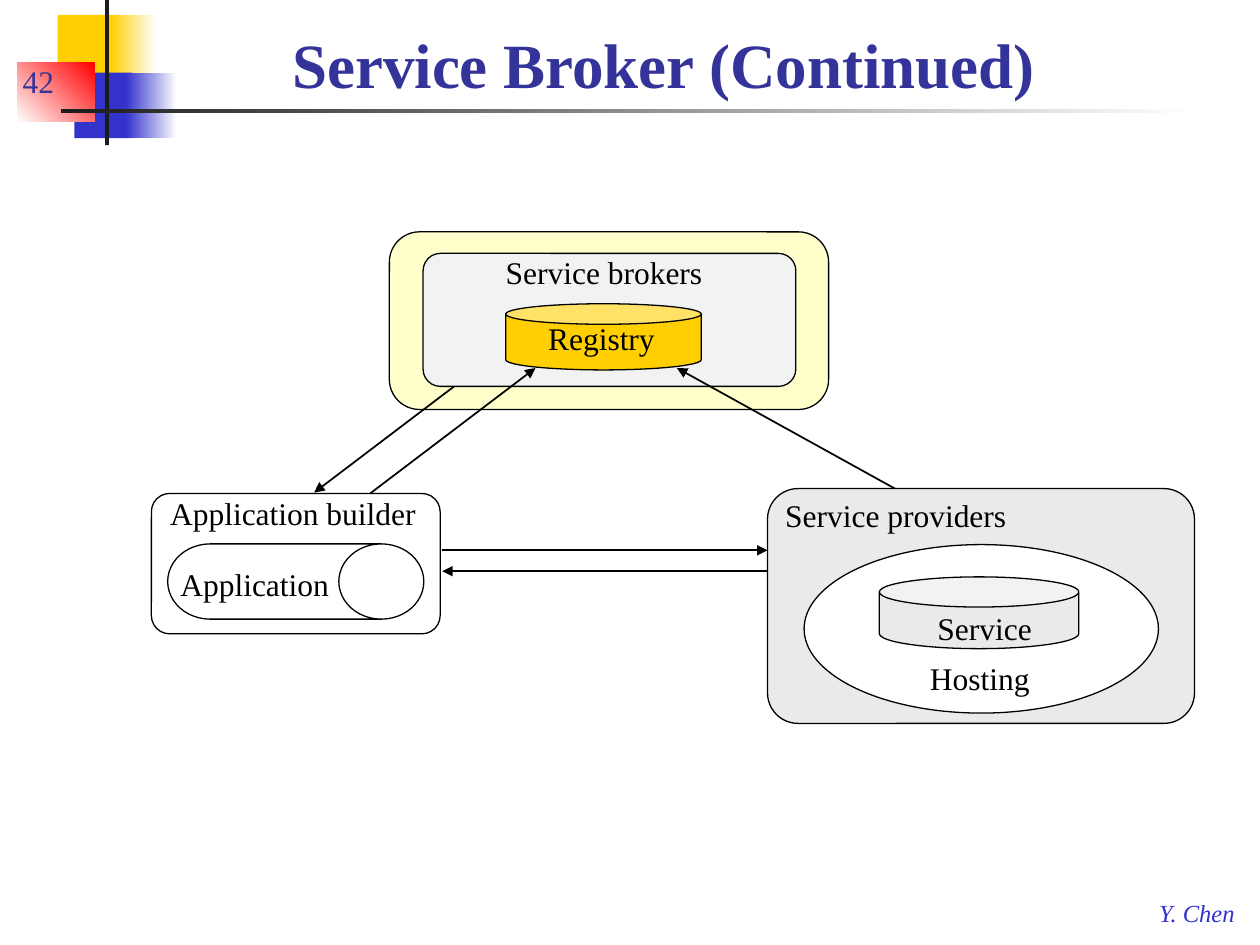
"""Build the Service Broker slide: a registry, a builder and a provider joined by arrows."""
from lxml.etree import SubElement
from pptx import Presentation
from pptx.dml.color import RGBColor
from pptx.enum.shapes import MSO_CONNECTOR, MSO_SHAPE
from pptx.enum.text import MSO_ANCHOR, PP_ALIGN
from pptx.oxml.ns import qn
from pptx.util import Pt

HUES = {
    "gold": "FFCF01", "blue": "3333CC", "red": "FF0000", "dark": "1C1C1C",
    "navy": "333399", "black": "000000", "white": "FFFFFF", "cream": "FFFFCC",
    "pale": "F2F2F2", "grey": "EAEAEA",
}
RGB = {name: RGBColor.from_string(code) for name, code in HUES.items()}
FONT = "Times New Roman"
RECT, ROUND = MSO_SHAPE.RECTANGLE, MSO_SHAPE.ROUNDED_RECTANGLE
OVAL, CAN = MSO_SHAPE.OVAL, MSO_SHAPE.CAN

deck = Presentation()
deck.slide_width, deck.slide_height = Pt(720), Pt(540)
slide = deck.slides.add_slide(deck.slide_layouts[5])
shapes = slide.shapes


def add_box(kind, left, top, width, height, fill, line=0.75, adj=None):
    box = shapes.add_shape(kind, Pt(left), Pt(top), Pt(width), Pt(height))
    box.shadow.inherit = False
    if fill:
        box.fill.solid()
        box.fill.fore_color.rgb = RGB[fill]
    else:
        box.fill.background()
    if line is None:
        box.line.fill.background()
    else:
        box.line.color.rgb = RGB["black"]
        box.line.width = Pt(line)
    if adj is not None:
        box.adjustments[0] = adj
    return box


def add_arrow(x1, y1, x2, y2):
    arrow = shapes.add_connector(MSO_CONNECTOR.STRAIGHT, Pt(x1), Pt(y1), Pt(x2), Pt(y2))
    arrow.line.color.rgb = RGB["black"]
    arrow.line.width = Pt(1)
    SubElement(arrow.line._get_or_add_ln(), qn("a:tailEnd"), type="triangle")
    SubElement(arrow._element.spPr, qn("a:effectLst"))


decor = [
    (33, 8.5, 35, 37.5, "gold", None, None),
    (63, 8.5, 26, 37.5, "gold", "white", 0),
    (42.5, 41.5, 33, 37.5, "blue", None, None),
    (72, 41.5, 29, 37.5, "blue", "white", 0),
    (10, 36, 44, 33.5, "white", "red", 45),
    (60, 0, 2.3, 83, "dark", None, None),
    (34.8, 62.2, 648, 2.3, "dark", "white", 0),
]
for left, top, width, height, hue, end, angle in decor:
    bar = add_box(RECT, left, top, width, height, hue, None)
    if end:
        bar.fill.gradient()
        bar.fill.gradient_angle = angle
        for stop, tint in zip(bar.fill.gradient_stops, (hue, end)):
            stop.color.rgb = RGB[tint]

title = shapes.title
title.left, title.top, title.width, title.height = Pt(159), Pt(6), Pt(494), Pt(60)
frame = title.text_frame
frame.text = "Service Broker (Continued)"
frame.vertical_anchor = MSO_ANCHOR.MIDDLE
frame.margin_left = frame.margin_right = Pt(8)
frame.paragraphs[0].alignment = PP_ALIGN.LEFT
font = frame.paragraphs[0].runs[0].font
font.name, font.size, font.bold = FONT, Pt(36), True
font.color.rgb = RGB["navy"]

add_box(ROUND, 222.5, 132.5, 251, 101.5, "cream", adj=0.17)
add_arrow(283, 203, 179.5, 281.5)
add_box(ROUND, 241.8, 144.8, 213, 76, "pale", adj=0.13)
add_box(CAN, 289, 173.6, 111.8, 37.8, "gold", adj=0.31)
add_arrow(211.5, 282, 306, 210.3)
add_arrow(515.5, 281.5, 386.8, 210.3)

add_box(ROUND, 438.6, 279.2, 244, 134.2, "grey", line=0, adj=0.13)
add_box(ROUND, 86.5, 282, 165, 80.2, None, adj=0.13)
tube = add_box(CAN, 147.5, 259.1, 43, 146.4, None, adj=1.13)
tube.rotation = 90
add_arrow(252.7, 314.5, 438.6, 314.5)
add_arrow(438.6, 326.4, 252.7, 326.4)
add_box(OVAL, 459.5, 311.2, 202.5, 96.3, "white")
add_box(CAN, 502.5, 329.7, 114, 41, "grey", adj=0.42)

labels = [
    ("Registry", 313.2, 182.3, 62, 22, 18, "black"),
    ("Service brokers", 289, 144.8, 114, 22, 18, "black"),
    ("Service providers", 448.7, 283.7, 128, 22, 18, "black"),
    ("Application builder", 97.2, 282.2, 142, 22, 18, "black"),
    ("Application", 103.1, 322.8, 86, 22, 18, "black"),
    ("Service", 535.7, 347.8, 60, 22, 18, "black"),
    ("Hosting", 531.4, 376.6, 58, 22, 18, "black"),
    ("42", 13, 35.2, 50, 22, 18, "navy"),
    ("Y. Chen", 662.4, 513.4, 45, 17, 14, "blue"),
]
for text, left, top, width, height, size, hue in labels:
    frame = shapes.add_textbox(Pt(left), Pt(top), Pt(width), Pt(height)).text_frame
    frame.margin_left = frame.margin_right = frame.margin_top = frame.margin_bottom = 0
    frame.word_wrap = False
    frame.text = text
    font = frame.paragraphs[0].runs[0].font
    font.name, font.size, font.italic = FONT, Pt(size), text == "Y. Chen"
    font.color.rgb = RGB[hue]

deck.save("out.pptx")
